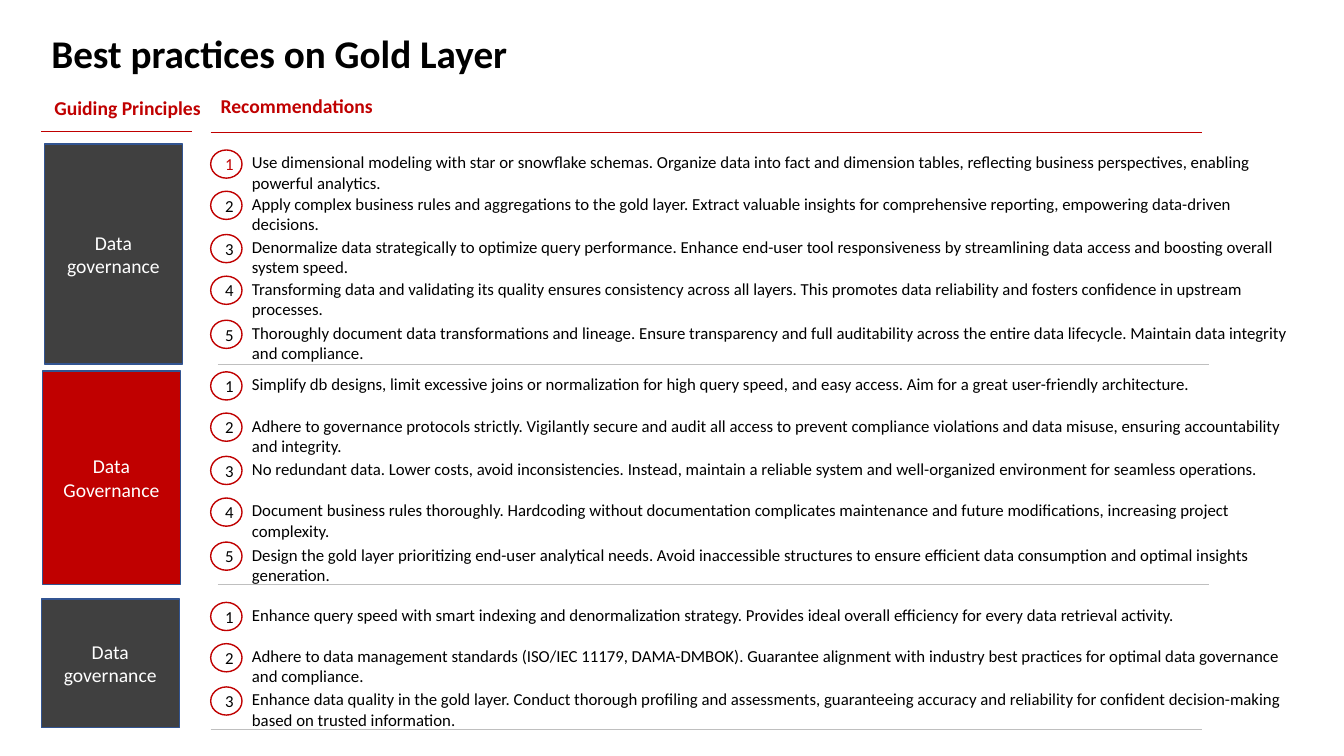
import pptx
import pptx.util
import pptx.dml.color
import pptx.enum.shapes
import pptx.enum.text
import lxml.etree
from dataclasses import dataclass

Cm = pptx.util.Cm
Pt = pptx.util.Pt
Shape = pptx.enum.shapes.MSO_SHAPE
Anchor = pptx.enum.text.MSO_ANCHOR
Align = pptx.enum.text.PP_ALIGN
Fit = pptx.enum.text.MSO_AUTO_SIZE


@dataclass(frozen=True)
class Theme:
    font: str = "Calibri"
    black: str = "000000"
    white: str = "FFFFFF"
    red: str = "C00000"
    dark: str = "404040"
    edge: str = "325491"
    grey: str = "BFBFBF"
    title: int = 28
    head: int = 14
    body: int = 12


theme = Theme()
STEPS = (0, 1.04, 2.13, 3.18, 4.29)
ROW_LEFT = 5.31
RULE_WIDTH = 24.98

GROUPS = [
    ("Data governance", theme.dark, (1.12, 3.63, 3.48, 5.54), 3.71, (5.49, 9.17), [
        "Use dimensional modeling with star or snowflake schemas. Organize data into fact and dimension tables, reflecting business perspectives, enabling powerful analytics.",
        "Apply complex business rules and aggregations to the gold layer. Extract valuable insights for comprehensive reporting, empowering data-driven decisions.",
        "Denormalize data strategically to optimize query performance. Enhance end-user tool responsiveness by streamlining data access and boosting overall system speed.",
        "Transforming data and validating its quality ensures consistency across all layers. This promotes data reliability and fosters confidence in upstream processes.",
        "Thoroughly document data transformations and lineage. Ensure transparency and full auditability across the entire data lifecycle. Maintain data integrity and compliance.",
    ]),
    ("Data Governance", theme.red, (1.07, 9.35, 3.48, 5.38), 9.3, (5.49, 14.73), [
        "Simplify db designs, limit excessive joins or normalization for high query speed, and easy access. Aim for a great user-friendly architecture.",
        "Adhere to governance protocols strictly. Vigilantly secure and audit all access to prevent compliance violations and data misuse, ensuring accountability and integrity.",
        "No redundant data. Lower costs, avoid inconsistencies. Instead, maintain a reliable system and well-organized environment for seamless operations.",
        "Document business rules thoroughly. Hardcoding without documentation complicates maintenance and future modifications, increasing project complexity.",
        "Design the gold layer prioritizing end-user analytical needs. Avoid inaccessible structures to ensure efficient data consumption and optimal insights generation.",
    ]),
    ("Data governance", theme.dark, (1.04, 15.09, 3.48, 3.25), 15.11, (5.31, 18.39), [
        "Enhance query speed with smart indexing and denormalization strategy. Provides ideal overall efficiency for every data retrieval activity.",
        "Adhere to data management standards (ISO/IEC 11179, DAMA-DMBOK). Guarantee alignment with industry best practices for optimal data governance and compliance.",
        "Enhance data quality in the gold layer. Conduct thorough profiling and assessments, guaranteeing accuracy and reliability for confident decision-making based on trusted information.",
    ]),
]


def color(code):
    return pptx.dml.color.RGBColor.from_string(code)


def write(shape, text, size, code, bold=False, align=Align.LEFT, anchor=Anchor.TOP):
    frame = shape.text_frame
    frame.text = text
    frame.word_wrap = True
    frame.vertical_anchor = anchor
    line = frame.paragraphs[0]
    line.alignment = align
    font = line.runs[0].font
    font.name = theme.font
    font.size = Pt(size)
    font.bold = bold
    font.color.rgb = color(code)


def label(slide, box, text, size, code, bold=False):
    shape = slide.shapes.add_textbox(*map(Cm, box))
    write(shape, text, size, code, bold)
    shape.text_frame.auto_size = Fit.SHAPE_TO_FIT_TEXT


def block(slide, kind, box, fill, edge, text, size, code):
    shape = slide.shapes.add_shape(kind, *map(Cm, box))
    shape.shadow.inherit = False
    shape.fill.solid()
    shape.fill.fore_color.rgb = color(fill)
    shape.line.color.rgb = color(edge)
    shape.line.width = Pt(1)
    write(shape, text, size, code, align=Align.CENTER, anchor=Anchor.MIDDLE)


def rule(slide, left, top, width, code):
    line = slide.shapes.add_connector(
        pptx.enum.shapes.MSO_CONNECTOR.STRAIGHT,
        Cm(left), Cm(top), Cm(left + width), Cm(top))
    line.line.color.rgb = color(code)
    line.line.width = Pt(0.5)
    props = line._element.spPr
    lxml.etree.SubElement(props, pptx.oxml.ns.qn("a:effectLst"))


def header(slide, left, top):
    title = slide.shapes.title
    title.left, title.top, title.width, title.height = map(
        Cm, (left, top, 31.37, 1.45))
    write(title, "Best practices on Gold Layer", theme.title, theme.black, True)
    title.text_frame.auto_size = Fit.SHAPE_TO_FIT_TEXT
    rule(slide, left, top + 2.69, 3.79, theme.red)
    rule(slide, ROW_LEFT, top + 2.72, RULE_WIDTH, theme.red)
    label(slide, (left + 0.08, top + 1.68, 4.22, 0.86),
          "Guiding Principles", theme.head, theme.red, True)
    label(slide, (ROW_LEFT, top + 1.63, 25.3, 0.86),
          "Recommendations", theme.head, theme.red, True)


def row(slide, left, top, num, text, code):
    block(slide, Shape.OVAL, (left, top + 0.07, 0.79, 0.71),
          theme.white, theme.red, str(num), theme.body, code)
    label(slide, (left + 0.79, top, 26.67, 0.76), text, theme.body, theme.black)


def group(slide, name, fill, box, top, base, items, first):
    block(slide, Shape.RECTANGLE, box, fill, theme.edge,
          name, theme.head, theme.white)
    for num, (step, text) in enumerate(zip(STEPS, items), 1):
        code = theme.red if first and num == 1 else theme.black
        row(slide, ROW_LEFT, top + step, num, text, code)
    rule(slide, *base, RULE_WIDTH, theme.grey)


def main():
    deck = pptx.Presentation()
    deck.slide_width = Cm(33.87)
    deck.slide_height = Cm(19.05)
    slide = deck.slides.add_slide(deck.slide_layouts[5])
    header(slide, 1.04, 0.61)
    for pos, parts in enumerate(GROUPS):
        group(slide, *parts, first=pos == 0)
    deck.save("out.pptx")


if __name__ == "__main__":
    main()
